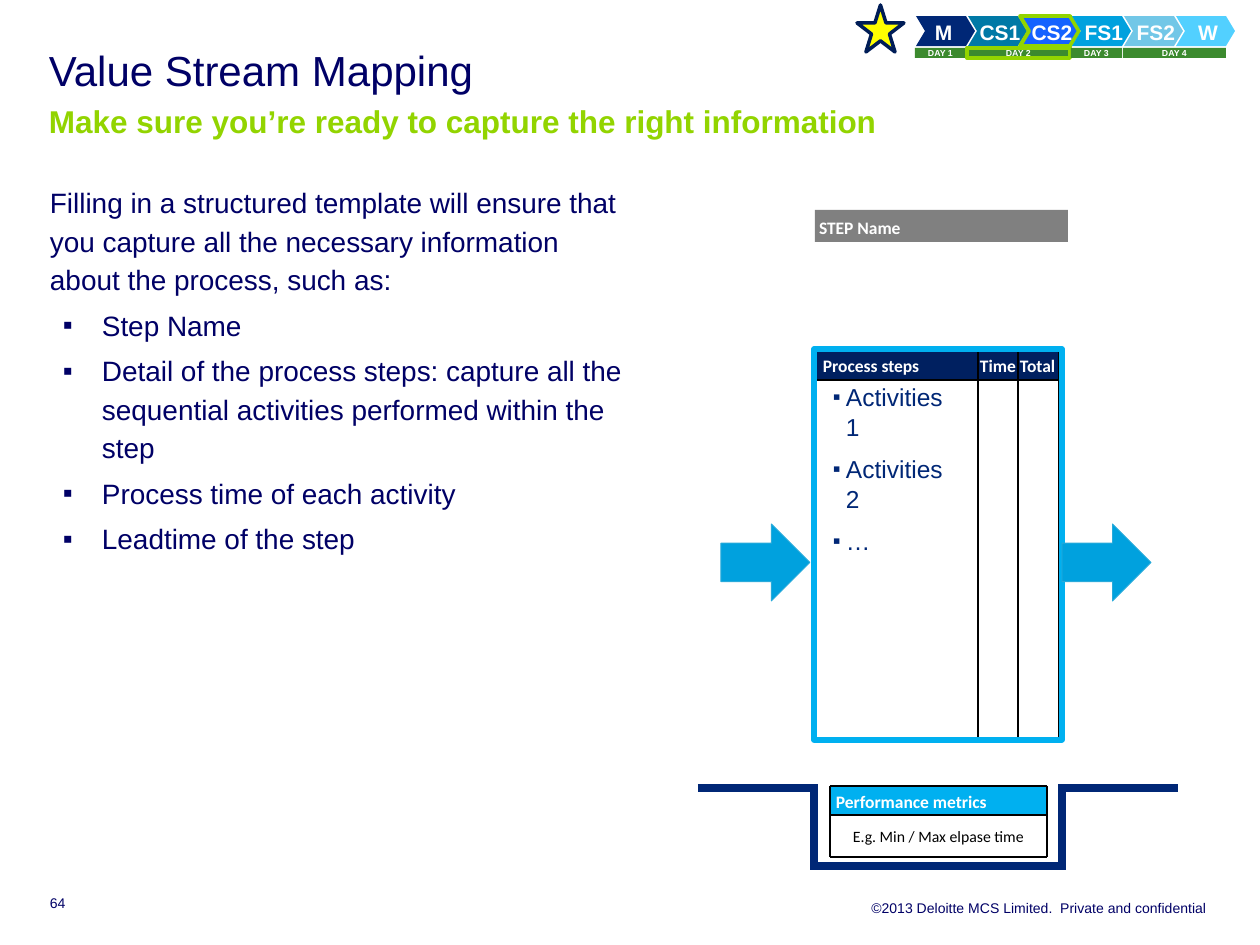
import pptx
import pptx.util
import pptx.dml.color
import pptx.enum.shapes
import pptx.enum.text
import pptx.oxml.ns
import lxml.etree

PX = 914400 / 126
KIND = pptx.enum.shapes.MSO_SHAPE
ALIGN = pptx.enum.text.PP_ALIGN
ANCHOR = pptx.enum.text.MSO_ANCHOR
HUE = {
    "ink": "000066", "lime": "92D400", "white": "FFFFFF", "black": "000000",
    "navy": "002776", "teal": "0079A6", "blue": "1462FF", "cyan": "00A1DE",
    "pale": "72C7E7", "light": "52D0FF", "green": "3C8A2E", "grey": "808080",
    "head": "002060", "sky": "00B0F0", "yellow": "FFFF00", "edge": "001D57",
    "rim": "28AADA",
}


def emu(px):
    return pptx.util.Emu(round(px * PX))


def hue(name):
    return pptx.dml.color.RGBColor.from_string(HUE[name])


def shape(slide, kind, box, fill=None, line=None, width=1):
    item = slide.shapes.add_shape(kind, *map(emu, box))
    item.shadow.inherit = False
    if fill:
        item.fill.solid()
        item.fill.fore_color.rgb = hue(fill)
    else:
        item.fill.background()
    if line:
        item.line.color.rgb = hue(line)
        item.line.width = pptx.util.Pt(width)
    else:
        item.line.fill.background()
    return item


def rule(slide, start, end, color="black", width=0.75):
    item = slide.shapes.add_connector(
        pptx.enum.shapes.MSO_CONNECTOR.STRAIGHT, *map(emu, start + end))
    item.line.color.rgb = hue(color)
    item.line.width = pptx.util.Pt(width)
    lxml.etree.SubElement(item._element.spPr, pptx.oxml.ns.qn("a:effectLst"))


def setup(item, inset=(0, 0, 0, 0), wrap=True, anchor=ANCHOR.TOP):
    frame = item.text_frame
    (frame.margin_left, frame.margin_top,
     frame.margin_right, frame.margin_bottom) = map(emu, inset)
    frame.word_wrap = wrap
    frame.vertical_anchor = anchor
    return frame


def add_run(para, text, size, color, bold=False, face="Arial"):
    run = para.add_run()
    run.text = text
    run.font.size = pptx.util.Pt(size)
    run.font.name = face
    run.font.bold = bold
    run.font.color.rgb = hue(color)


def label(item, text, size, color, bold=False, face="Arial",
          align=ALIGN.LEFT, space=None, **frame):
    para = setup(item, **frame).paragraphs[0]
    para.alignment = align
    if space:
        para.line_spacing = space
    add_run(para, text, size, color, bold, face)


def textbox(slide, box):
    return slide.shapes.add_textbox(*map(emu, box))


def bullet(para, indent, hang, size=100, tab=None):
    props = para._p.get_or_add_pPr()
    props.set("marL", str(emu(indent)))
    props.set("indent", str(-emu(hang)))

    def child(parent, tag, **attrs):
        return lxml.etree.SubElement(parent, pptx.oxml.ns.qn(tag), **attrs)
    child(props, "a:buSzPct", val=str(size * 1000))
    child(props, "a:buFont", typeface="Arial")
    child(props, "a:buChar", char="▪")
    if tab:
        child(child(props, "a:tabLst"), "a:tab", pos=str(emu(tab)), algn="l")


def tracker(slide, box):
    x, y, w, h = box
    # Star marker
    shape(slide, KIND.STAR_5_POINT, (x, y, 47, 47), "yellow", "edge", 2)
    # Course modules
    mods = [("M", "navy"), ("CS1", "teal"), ("CS2", "blue"),
            ("FS1", "cyan"), ("FS2", "pale"), ("W", "light")]
    for i, (name, fill) in enumerate(mods):
        line = "lime" if name == "CS2" else None
        item = shape(slide, KIND.CHEVRON, (x + 59 + 52 * i, y + 11, 59, 30),
                     fill, line, 2.25)
        item.adjustments[0] = 0.3
        first = i == 0
        label(item, name, 12, "white", True, space=1.1,
              align=ALIGN.LEFT if first else ALIGN.CENTER, wrap=False,
              inset=(10, 8, 0, 8) if first else (25, 8, 20, 8),
              anchor=ANCHOR.MIDDLE)
    # Days, each one or two modules long
    start = 0
    for day, span in enumerate((1, 2, 1, 2), 1):
        bar = (x + 58 + 52 * start, y + 43, 52 * span - 1, 10)
        item = shape(slide, KIND.RECTANGLE, bar, "green",
                     "lime" if day == 2 else None, 2.25)
        label(item, f"DAY {day}", 5, "white", True, align=ALIGN.CENTER,
              inset=(5, 0, 5, 0))
        start += span


def title(slide, box):
    para = setup(textbox(slide, box)).paragraphs[0]
    para.line_spacing = pptx.util.Pt(26)
    add_run(para, "Value Stream Mapping", 24, "ink")
    para.add_line_break()
    add_run(para, "Make sure you’re ready to capture the right information",
            18, "lime", True)


def body(slide, box):
    frame = setup(textbox(slide, box), inset=(0, 5, 0, 5))
    lines = [
        "Filling in a structured template will ensure that you capture all "
        "the necessary information about the process, such as:",
        "Step Name",
        "Detail of the process steps: capture all the sequential activities "
        "performed within the step",
        "Process time of each activity",
        "Leadtime of the step",
    ]
    for i, text in enumerate(lines):
        para = frame.add_paragraph() if i else frame.paragraphs[0]
        if i:
            bullet(para, 52, 39)
        para.line_spacing = pptx.util.Pt(22)
        para.space_after = pptx.util.Pt(4)
        add_run(para, text, 16, "ink")


def steps(slide, box):
    x, y, w, h = box
    # Step name bar
    shape(slide, KIND.RECTANGLE, (x + 1, y - 139, 253, 32), "grey")
    # Header row and columns
    shape(slide, KIND.RECTANGLE, (x + 2, y + 1, 243, 30), "head")
    for col in (164, 204, 245):
        rule(slide, (x + col, y + 3), (x + col, y + h))
    rule(slide, (x + 2, y + 31), (x + 245, y + 31))
    heads = [("STEP Name", 5, -132, 83), ("Process steps", 9, 6, 98),
             ("Time", 166, 6, 37), ("Total", 206, 6, 38)]
    for text, dx, dy, wide in heads:
        label(textbox(slide, (x + dx, y + dy, wide, 21)), text, 10, "white",
              True, "Calibri", wrap=False)
    # Activities
    frame = setup(textbox(slide, (x + 14, y + 57, 126, 126)),
                  (5, 5, 5, 5), False, ANCHOR.MIDDLE)
    for i, text in enumerate(("Activities 1", "Activities 2", "…")):
        para = frame.add_paragraph() if i else frame.paragraphs[0]
        bullet(para, 13, 13, 90, 25)
        if i:
            para.space_before = pptx.util.Pt(4.9)
        para.space_after = pptx.util.Pt(2.7)
        add_run(para, text, 14, "navy")
    # Frame, then flow in and out
    shape(slide, KIND.RECTANGLE, box, None, "sky", 3)
    for dx in (-93, 248):
        shape(slide, KIND.RIGHT_ARROW, (x + dx, y + 175, 89, 77),
              "cyan", "rim", 0.5)


def metrics(slide, box):
    x, y, w, h = box
    # Timeline with a dip
    for start, end in (((0, 4), (118, 4)), ((362, 4), (w, 4)),
                       ((117, 82), (360, 82)), ((116, 86), (116, 0)),
                       ((364, 86), (364, 0))):
        rule(slide, (x + start[0], y + start[1]), (x + end[0], y + end[1]),
             "navy", 4.5)
    # Metrics card
    left, right = x + 132, x + 349
    shape(slide, KIND.RECTANGLE, (left, y + 2, 217, 30), "sky")
    for dy in (2, 31, 73):
        rule(slide, (left, y + dy), (right, y + dy))
    for side in (left, right):
        rule(slide, (side, y + 2), (side, y + 73))
    label(textbox(slide, (left + 6, y + 7, 152, 21)), "Performance metrics",
          10, "white", True, "Calibri", wrap=False)
    label(textbox(slide, (left + 23, y + 43, 173, 19)),
          "E.g. Min / Max elpase time", 9, "black", False, "Calibri",
          wrap=False)


def footer(slide, box):
    x, y, w, h = box
    label(textbox(slide, (x, y, 49, 16)), "64", 8, "ink",
          anchor=ANCHOR.BOTTOM)
    label(textbox(slide, (x + 378, y + 4, w - 378, 16)),
          "©2013 Deloitte MCS Limited.  Private and confidential", 8, "ink",
          align=ALIGN.RIGHT)


def main():
    deck = pptx.Presentation()
    deck.slide_width, deck.slide_height = emu(1260), emu(945)
    slide = deck.slides.add_slide(deck.slide_layouts[6])
    tracker(slide, (857, 5, 378, 53))
    title(slide, (49, 49, 1160, 87))
    body(slide, (50, 176, 580, 552))
    steps(slide, (814, 349, 248, 391))
    metrics(slide, (698, 784, 480, 86))
    footer(slide, (50, 895, 1157, 20))
    deck.save("out.pptx")


if __name__ == "__main__":
    main()
